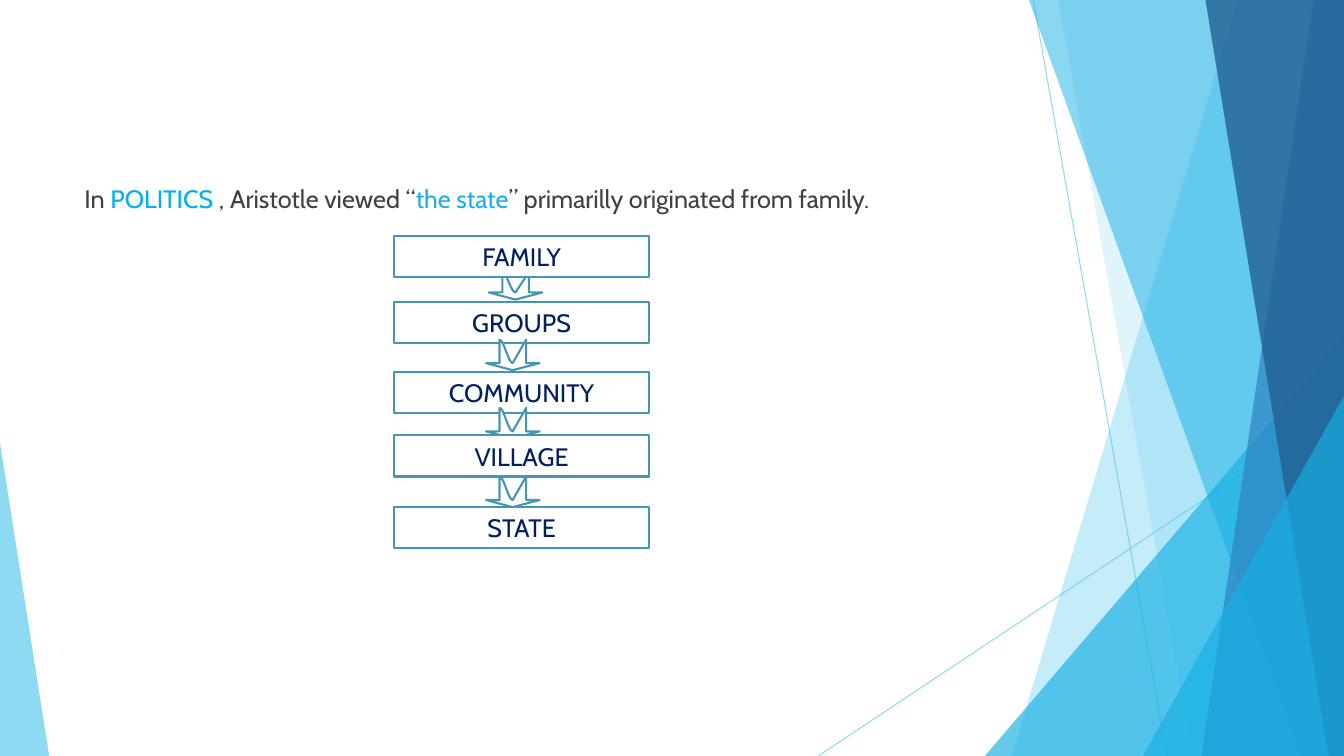
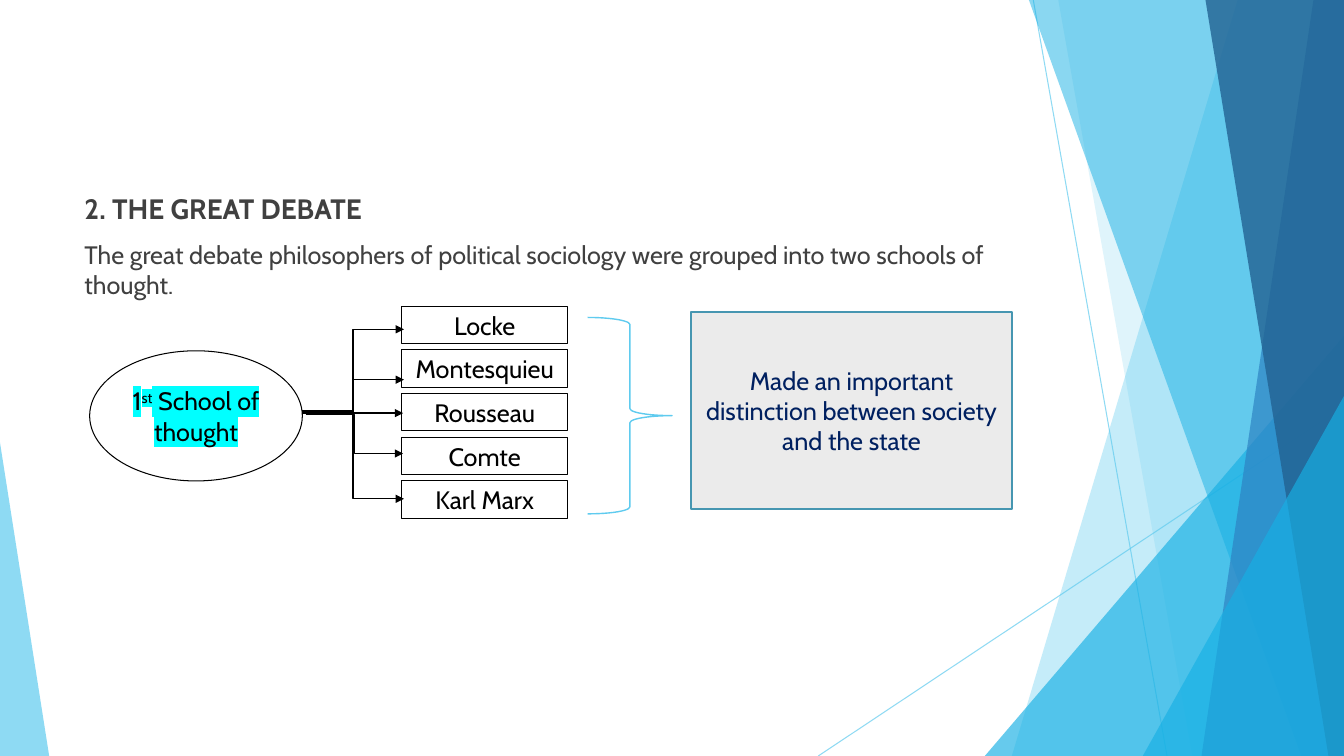
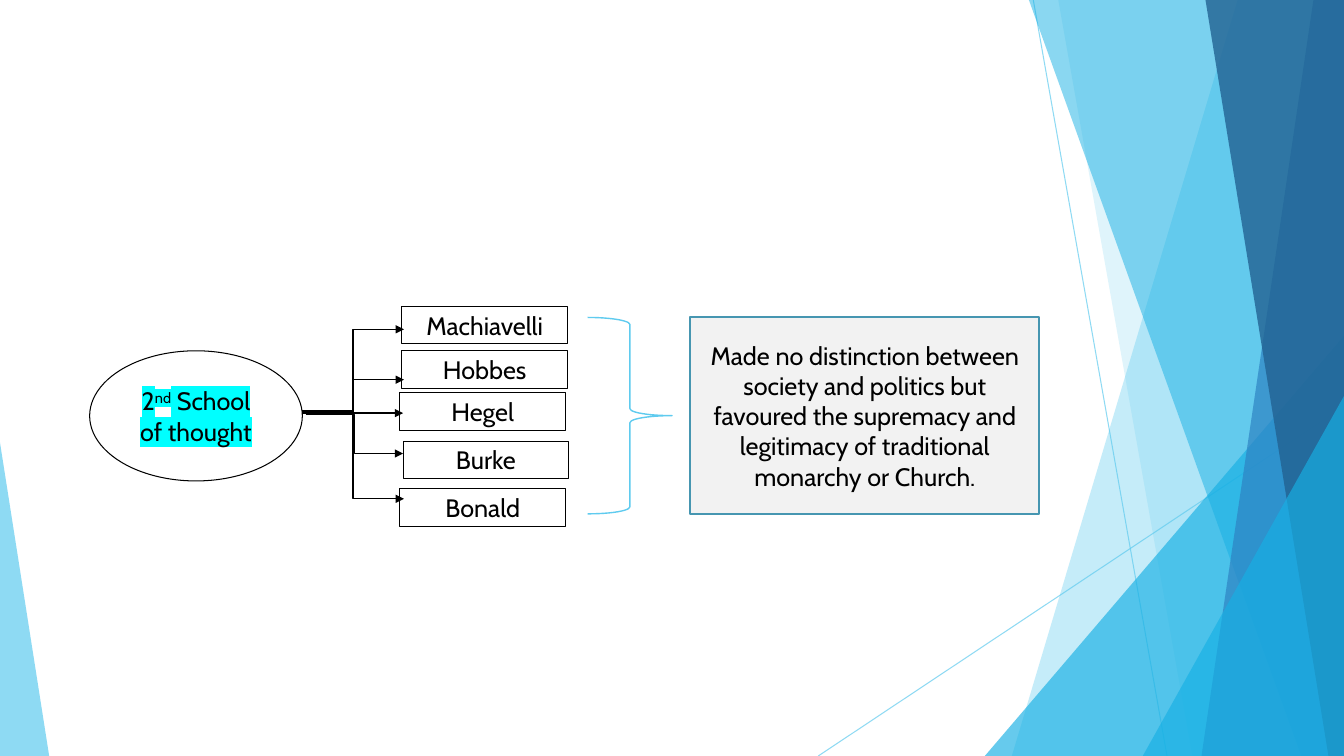
from lxml.etree import SubElement
from pptx import Presentation
from pptx.dml.color import RGBColor
from pptx.enum.shapes import MSO_CONNECTOR, MSO_SHAPE
from pptx.enum.text import MSO_ANCHOR, PP_ALIGN
from pptx.oxml.ns import qn
from pptx.util import Cm, Pt

WIDE, HIGH = 33.87, 19.05
FONT = "Cabin"
HUES = {
    "white": "FFFFFF", "black": "000000", "ink": "404040", "navy": "002060",
    "sky": "5FCBEF", "azure": "17B0E4", "bright": "00B0F0", "blue": "2E83C3",
    "deep": "226292", "teal": "4696B1", "grey": "EBEBEB", "pale": "F2F2F2",
    "cyan": "00FFFF",
}


def hue(name):
    return RGBColor.from_string(HUES[name])


def fade(shape, percent):
    """Make every colour of the shape partly transparent."""
    for tag in shape.element.spPr.iter(qn("a:srgbClr")):
        SubElement(tag, qn("a:alpha"), val=str(percent * 1000))


def paint(shape, fill=None, line=None, width=1.0):
    shape.shadow.inherit = False
    if fill:
        shape.fill.solid()
        shape.fill.fore_color.rgb = hue(fill)
    else:
        shape.fill.background()
    if line:
        shape.line.color.rgb = hue(line)
        shape.line.width = Pt(width)
    else:
        shape.line.fill.background()


def preset(slide, kind, x, y, w, h, **look):
    shape = slide.shapes.add_shape(kind, Cm(x), Cm(y), Cm(w), Cm(h))
    paint(shape, **look)
    return shape


def outline(slide, points, **look):
    """Draw a closed freeform through points given in centimetres."""
    start, *rest = [(Cm(x), Cm(y)) for x, y in points]
    builder = slide.shapes.build_freeform(*start)
    builder.add_line_segments(rest, close=True)
    shape = builder.convert_to_shape()
    paint(shape, **look)
    return shape


def link(slide, kind, start, end, colour, width):
    ends = [Cm(v) for v in (*start, *end)]
    line = slide.shapes.add_connector(kind, *ends)
    line.line.color.rgb = hue(colour)
    line.line.width = Pt(width)
    SubElement(line.element.spPr, qn("a:effectLst"))
    return line


def style(para, colour, size=18, bold=False, align=PP_ALIGN.LEFT):
    para.alignment = align
    para.font.name = FONT
    para.font.size = Pt(size)
    para.font.bold = bold
    para.font.color.rgb = hue(colour)


def label(shape, text, colour):
    frame = shape.text_frame
    frame.word_wrap = True
    frame.vertical_anchor = MSO_ANCHOR.MIDDLE
    para = frame.paragraphs[0]
    para.text = text
    style(para, colour, align=PP_ALIGN.CENTER)
    return para


def slab(slide, top, foot, colour, percent):
    """Draw a full-height band from a slanted left edge to the slide's right."""
    points = [(top, 0), (WIDE, 0), (WIDE, HIGH), (foot, HIGH)]
    fade(outline(slide, points, fill=colour), percent)


def wedge(slide, x, y, w, apex, colour, percent):
    """Draw a triangle that stands on the slide's bottom edge."""
    shape = preset(slide, MSO_SHAPE.ISOSCELES_TRIANGLE, x, y, w, HIGH - y,
                   fill=colour)
    shape.adjustments[0] = apex
    fade(shape, percent)


def backdrop(slide):
    for start, end in (((26.04, 0), (29.41, HIGH)),
                       ((WIDE, 10.24), (20.62, HIGH))):
        fade(link(slide, MSO_CONNECTOR.STRAIGHT, start, end, "sky", 0.75), 70)
    slab(slide, 31.19, 25.5, "sky", 36)
    slab(slide, 26.67, 30.05, "sky", 20)
    wedge(slide, 24.82, 8.46, 9.05, 1, "azure", 66)
    slab(slide, 25.93, 32.79, "azure", 50)
    slab(slide, 33.1, 30.28, "blue", 70)
    slab(slide, 30.38, 33.48, "deep", 80)
    wedge(slide, 28.8, 9.98, 5.07, 1, "azure", 66)
    wedge(slide, 0, 11.15, 1.24, 0, "sky", 70)


def body(slide, x, y, w, h):
    frame = slide.shapes.add_textbox(Cm(x), Cm(y), Cm(w), Cm(h)).text_frame
    frame.word_wrap = True
    return frame


def arrow(slide, x, y, h):
    """Draw a down arrow whose top edge dips in a curve."""
    barb = h - 0.18
    steps = [n / 8 for n in range(9)]
    dip = [(x + 0.34 + 0.33 * t, y + barb * t * t * (3 - 2 * t)) for t in steps]
    points = [(x, y + barb), (x + 0.34, y + barb), *dip, (x + 1.01, y),
              (x + 1.01, y + barb), (x + 1.35, y + barb), (x + 0.67, y + h)]
    outline(slide, points, fill="white", line="teal", width=1.5)


def chain(slide, x, y):
    """Stack the stages of the state, each leading down to the next."""
    stages = (("FAMILY", 0, None), ("GROUPS", 1.66, 2.62),
              ("COMMUNITY", 3.43, 4.34), ("VILLAGE", 5.03, 6.07),
              ("STATE", 6.84, None))
    arrow(slide, x + 2.39, y + 0.92, 0.69)
    for name, top, tail in stages:
        box = preset(slide, MSO_SHAPE.RECTANGLE, x, y + top, 6.43, 1.04,
                     fill="white", line="teal", width=1.5)
        label(box, name, "navy")
        if tail:
            arrow(slide, x + 2.32, y + tail, 0.77)


def school(slide, x, y, number, suffix, names):
    """Draw a school of thought, its thinkers and the brace that joins them."""
    oval = preset(slide, MSO_SHAPE.OVAL, x, y + 1.12, 5.36, 3.28,
                  line="black", width=0.75)
    para = label(oval, "", "black")
    for text, raised in ((number, 0), (suffix, 30), (" School of thought", 0)):
        run = para.add_run()
        run.text = text
        props = run.font._element
        if raised:
            props.set("baseline", str(raised * 1000))
        mark = SubElement(props, qn("a:highlight"))
        SubElement(mark, qn("a:srgbClr"), val=HUES["cyan"])

    for left, start, right, end in ((5.36, 2.67, 7.92, 0.58),
                                    (5.36, 2.64, 7.92, 1.85),
                                    (5.44, 2.69, 7.9, 2.69),
                                    (5.44, 2.72, 7.9, 3.71),
                                    (5.36, 2.69, 7.92, 4.85)):
        line = link(slide, MSO_CONNECTOR.ELBOW, (x + left, y + start),
                    (x + right, y + end), "black", 1)
        SubElement(line.element.spPr.find(qn("a:ln")), qn("a:tailEnd"),
                   type="triangle")

    for name, left, top in names:
        box = preset(slide, MSO_SHAPE.RECTANGLE, x + left, y + top, 4.17, 0.94,
                     line="black", width=0.75)
        label(box, name, "black")
    preset(slide, MSO_SHAPE.RIGHT_BRACE, x + 12.55, y + 0.28, 2.13, 4.95,
           line="sky")


def verdict(slide, x, y, w, text, colour, fill):
    box = preset(slide, MSO_SHAPE.RECTANGLE, x, y, w, 4.95,
                 fill=fill, line="teal", width=1.5)
    label(box, text, colour)


def origin(slide):
    para = body(slide, 1.88, 4.5, 23.88, 9.73).paragraphs[0]
    style(para, "ink")
    para.space_before = Pt(10)
    for text, colour in (("In ", None), ("POLITICS", "bright"),
                         (" , Aristotle viewed “", None),
                         ("the state", "azure"),
                         ("” primarilly originated from family.", None)):
        run = para.add_run()
        run.text = text
        if colour:
            run.font.color.rgb = hue(colour)
    chain(slide, 9.93, 5.94)


def debate(slide):
    frame = body(slide, 1.88, 4.7, 24.36, 12.17)
    head, lead = frame.paragraphs[0], frame.add_paragraph()
    head.text = "2. THE GREAT DEBATE"
    lead.text = ("The great debate philosophers of political sociology "
                 "were grouped into two schools of thought.")
    style(head, "ink", 20, True)
    style(lead, "ink")
    for para in (head, lead):
        para.space_before = Pt(10)
    names = ("Locke", "Montesquieu", "Rousseau", "Comte", "Karl Marx")
    school(slide, 2.26, 7.72, "1", "st",
           [(name, 7.87, 1.1 * row) for row, name in enumerate(names)])
    verdict(slide, 17.42, 7.87, 8.08, "Made an important distinction between "
            "society and the state", "navy", "grey")


def rivals(slide):
    school(slide, 2.26, 7.72, "2", "nd",
           (("Machiavelli", 7.87, 0), ("Hobbes", 7.87, 1.12),
            ("Hegel", 7.82, 2.18), ("Burke", 7.9, 3.4),
            ("Bonald", 7.82, 4.6)))
    verdict(slide, 17.4, 8, 8.79, "Made no distinction between society and "
            "politics but favoured the supremacy and legitimacy of "
            "traditional monarchy or Church.", "black", "pale")


def main():
    deck = Presentation()
    deck.slide_width, deck.slide_height = Cm(WIDE), Cm(HIGH)
    for fill in (origin, debate, rivals):
        slide = deck.slides.add_slide(deck.slide_layouts[6])
        backdrop(slide)
        fill(slide)
    deck.save("out.pptx")


if __name__ == "__main__":
    main()
